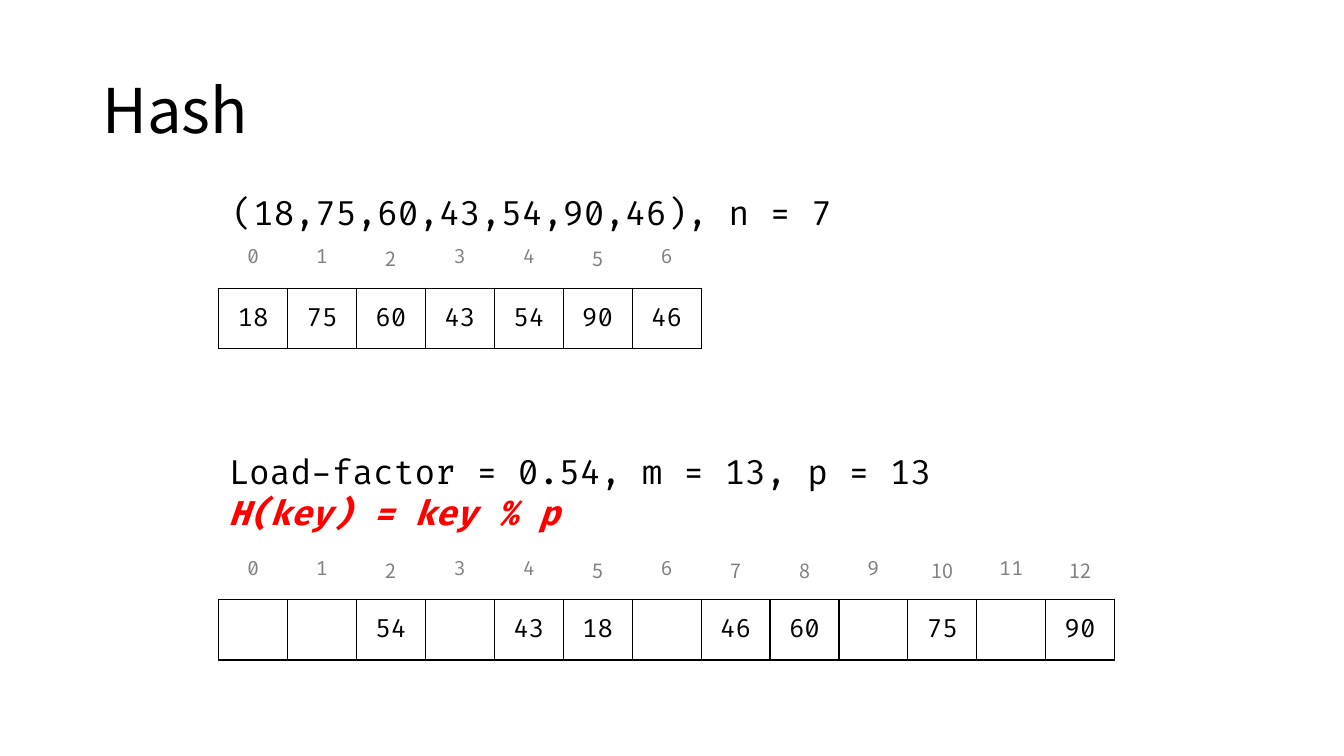
import pptx
import pptx.util
import pptx.oxml
import pptx.oxml.ns
import pptx.dml.color
import pptx.enum.text
from pptx.util import Cm

# Content
TITLE = "Hash"
KEYS = [18, 75, 60, 43, 54, 90, 46]
SLOT_COUNT = 13
PRIME = 13
KEYS_LINE = "(18,75,60,43,54,90,46), n = 7"
FACTOR_LINE = "Load-factor = 0.54, m = 13, p = 13"
HASH_LINE = "H(key) = key % p"

# Look
COLORS = {"text": "000000", "index": "808080", "accent": "FF0000", "border": "000000"}
CODE_FONT = "Fira Code"
SANS_FONT = "Noto Sans CJK SC"
SANS_INDEXES = {2, 5, 7, 8, 10, 12}

# Array geometry in centimetres
ARRAY_LEFT = 5.51
CELL_WIDTH = 1.737
CELL_HEIGHT = 1.52
MIDDLE = pptx.enum.text.MSO_ANCHOR.MIDDLE
CENTER = pptx.enum.text.PP_ALIGN.CENTER


def write(para, text, size=24, font=CODE_FONT, color="text", bold=False, italic=False,
          align=None, spacing=None):
    para.alignment = align
    para.line_spacing = spacing
    span = para.add_run()
    span.text = text
    span.font.size = pptx.util.Pt(size)
    span.font.name = font
    span.font.bold = bold
    span.font.italic = italic
    span.font.color.rgb = pptx.dml.color.RGBColor.from_string(COLORS[color])


def add_box(page, left, top, width, height):
    frame = page.shapes.add_textbox(Cm(left), Cm(top), Cm(width), Cm(height)).text_frame
    frame.word_wrap = True
    return frame


def set_borders(cell, visible):
    if visible:
        paint = f'<a:solidFill><a:srgbClr val="{COLORS["border"]}"/></a:solidFill>'
    else:
        paint = "<a:noFill/>"
    properties = cell._tc.get_or_add_tcPr()
    for position, side in enumerate("LRTB"):
        line = pptx.oxml.parse_xml(
            f'<a:ln{side} {pptx.oxml.ns.nsdecls("a")} w="12700">{paint}</a:ln{side}>')
        properties.insert(position, line)


def add_row(page, top, texts, bordered, size, color, sans=()):
    count = len(texts)
    table = page.shapes.add_table(1, count, Cm(ARRAY_LEFT), Cm(top),
                                  Cm(CELL_WIDTH * count), Cm(CELL_HEIGHT)).table
    table.first_row = False
    table.horz_banding = False
    for column, text in enumerate(texts):
        table.columns[column].width = Cm(CELL_WIDTH)
        cell = table.cell(0, column)
        cell.vertical_anchor = MIDDLE
        cell.fill.background()
        set_borders(cell, bordered)
        if text:
            font = SANS_FONT if column in sans else CODE_FONT
            write(cell.text_frame.paragraphs[0], text, size=size, font=font,
                  color=color, align=CENTER)


def add_array(page, top, values):
    """An array of cells with its row of indexes above."""
    add_row(page, top + CELL_HEIGHT, values, True, 18, "text")
    indexes = [str(index) for index in range(len(values))]
    add_row(page, top, indexes, False, 14, "index", SANS_INDEXES)


def main():
    deck = pptx.Presentation()
    deck.slide_width, deck.slide_height = Cm(33.87), Cm(19.05)
    page = deck.slides.add_slide(deck.slide_layouts[6])

    # Title
    frame = add_box(page, 2.33, 1.01, 29.21, 3.68)
    frame.vertical_anchor = MIDDLE
    write(frame.paragraphs[0], TITLE, size=44, font=SANS_FONT, spacing=0.9)

    # Keys in the order given
    frame = add_box(page, 5.61, 4.7, 22.86, 1.28)
    write(frame.paragraphs[0], KEYS_LINE)
    add_array(page, 5.74, [str(key) for key in KEYS])

    # Keys placed by the hash function
    frame = add_box(page, 5.51, 11.25, 22.86, 2.31)
    write(frame.paragraphs[0], FACTOR_LINE)
    write(frame.add_paragraph(), HASH_LINE, color="accent", bold=True, italic=True)
    slots = [""] * SLOT_COUNT
    for key in KEYS:
        slots[key % PRIME] = str(key)
    add_array(page, 13.59, slots)

    deck.save("out.pptx")


if __name__ == "__main__":
    main()
